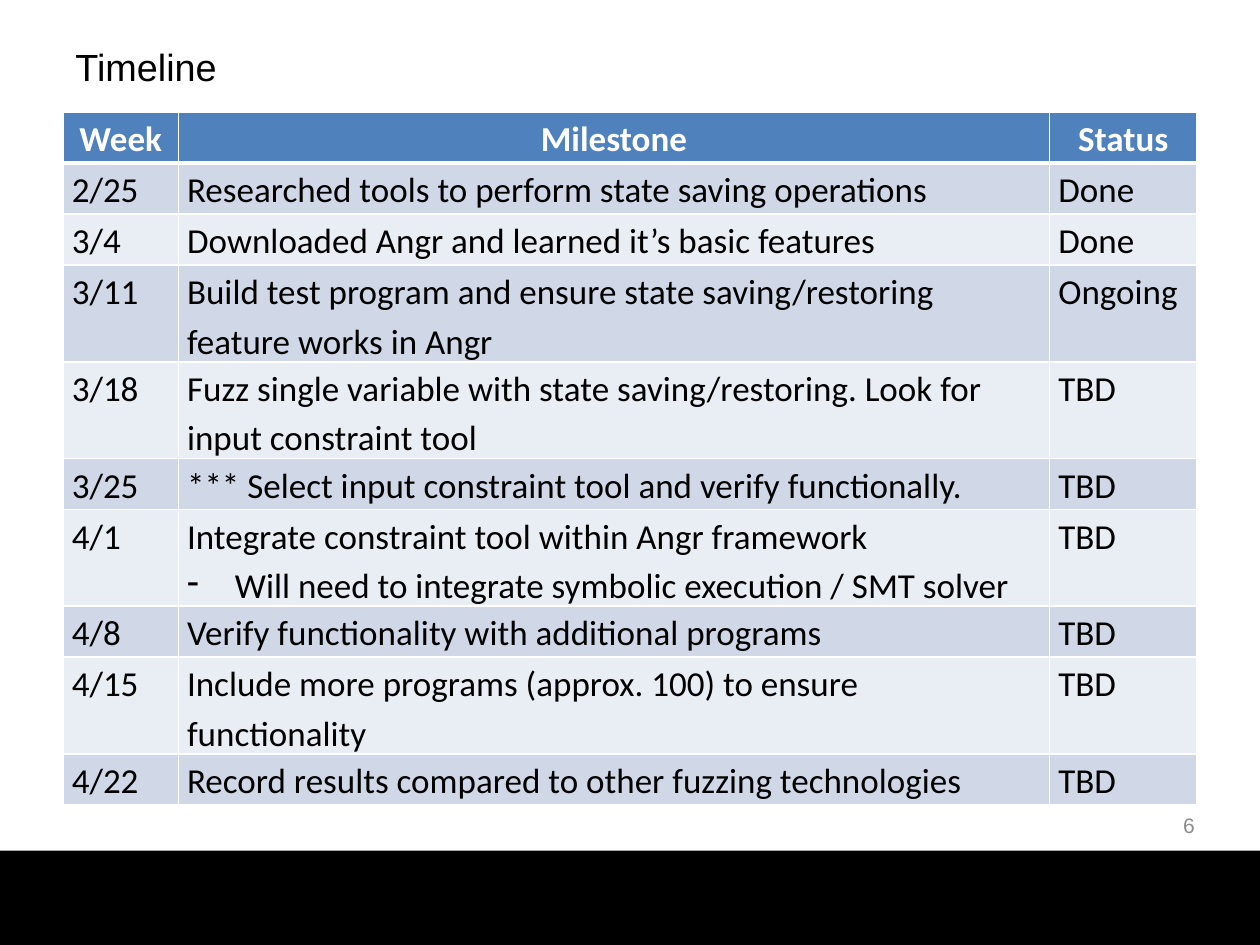
from lxml.etree import SubElement
from pptx import Presentation
from pptx.dml.color import RGBColor
from pptx.enum.shapes import MSO_SHAPE as Shape
from pptx.enum.text import MSO_ANCHOR as Anchor, PP_ALIGN as Align
from pptx.oxml.ns import qn
from pptx.util import Inches, Pt

WIDTH, HEIGHT = Inches(10), Inches(7.5)
BLACK, WHITE, GRAY = "000000", "FFFFFF", "8C8C8C"
HEADER_FILL, BAND_FILLS = "4F81BD", ("D0D8E8", "E9EDF4")
COLUMN_WIDTHS = (0.915, 6.915, 1.17)
ROW_HEIGHT = 0.405
HEADINGS = ("Week", "Milestone", "Status")
MILESTONES = (
    ("2/25", "Researched tools to perform state saving operations", "Done"),
    ("3/4", "Downloaded Angr and learned it’s basic features", "Done"),
    ("3/11", "Build test program and ensure state saving/restoring feature works in Angr", "Ongoing"),
    ("3/18", "Fuzz single variable with state saving/restoring. Look for input constraint tool", "TBD"),
    ("3/25", "*** Select input constraint tool and verify functionally.", "TBD"),
    ("4/1", "Integrate constraint tool within Angr framework\n"
            "Will need to integrate symbolic execution / SMT solver", "TBD"),
    ("4/8", "Verify functionality with additional programs", "TBD"),
    ("4/15", "Include more programs (approx. 100) to ensure functionality", "TBD"),
    ("4/22", "Record results compared to other fuzzing technologies", "TBD"),
)


def color(value):
    return RGBColor.from_string(value)


def fill_with(target, value):
    target.fill.solid()
    target.fill.fore_color.rgb = color(value)


def format_paragraph(paragraph, font, size, value, align=Align.LEFT, bold=False):
    paragraph.alignment = align
    for run in paragraph.runs:
        run.font.name, run.font.size, run.font.bold = font, Pt(size), bold
        run.font.color.rgb = color(value)


def add_text(slide, text, left, top, width, height, size, value, align=Align.LEFT):
    box = slide.shapes.add_textbox(*(Inches(length) for length in (left, top, width, height)))
    frame = box.text_frame
    frame.word_wrap = True
    frame.vertical_anchor = Anchor.MIDDLE
    frame.text = text
    format_paragraph(frame.paragraphs[0], "Arial", size, value, align)


def add_footer_band(slide):
    band = slide.shapes.add_shape(Shape.RECTANGLE, 0, int(HEIGHT * 0.9), WIDTH, int(HEIGHT * 0.1))
    band.shadow.inherit = False
    fill_with(band, BLACK)
    band.line.fill.background()


def set_borders(cell, bottom_width):
    properties = cell._tc.get_or_add_tcPr()
    for side, width in (("L", 1), ("R", 1), ("T", 1), ("B", bottom_width)):
        line = SubElement(properties, qn(f"a:ln{side}"), w=str(Pt(width)))
        SubElement(SubElement(line, qn("a:solidFill")), qn("a:srgbClr"), val=WHITE)


def add_dash(paragraph):
    properties = paragraph._p.get_or_add_pPr()
    indent = Inches(0.38)
    properties.set("marL", str(indent))
    properties.set("indent", str(-indent))
    SubElement(properties, qn("a:buChar"), char="-")


def fill_cell(cell, text, header, band):
    cell.margin_left = cell.margin_right = Inches(0.07)
    cell.margin_top = cell.margin_bottom = 0
    set_borders(cell, 3 if header else 1)
    fill_with(cell, band)
    cell.text_frame.text = text
    for index, paragraph in enumerate(cell.text_frame.paragraphs):
        paragraph.line_spacing = 1.15
        if header:
            format_paragraph(paragraph, "Calibri", 20, WHITE, Align.CENTER, True)
        else:
            format_paragraph(paragraph, "Calibri", 20, BLACK)
        if index:
            add_dash(paragraph)


def add_timeline(slide):
    rows = (HEADINGS,) + MILESTONES
    frame = slide.shapes.add_table(len(rows), len(HEADINGS), Inches(0.5), Inches(0.89),
                                   Inches(sum(COLUMN_WIDTHS)), Inches(ROW_HEIGHT * len(rows)))
    table = frame.table
    for column, width in zip(table.columns, COLUMN_WIDTHS):
        column.width = Inches(width)
    for row_index, texts in enumerate(rows):
        header = row_index == 0
        band = HEADER_FILL if header else BAND_FILLS[(row_index - 1) % 2]
        for column_index, text in enumerate(texts):
            fill_cell(table.cell(row_index, column_index), text, header, band)


def main():
    presentation = Presentation()
    presentation.slide_width, presentation.slide_height = WIDTH, HEIGHT
    slide = presentation.slides.add_slide(presentation.slide_layouts[6])
    add_footer_band(slide)
    add_text(slide, "Timeline", 0.5, 0.3, 9, 0.45, 21.6, BLACK)
    add_timeline(slide)
    add_text(slide, "6", 7.25, 6.35, 2.33, 0.4, 12, GRAY, Align.RIGHT)
    presentation.save("out.pptx")


main()
